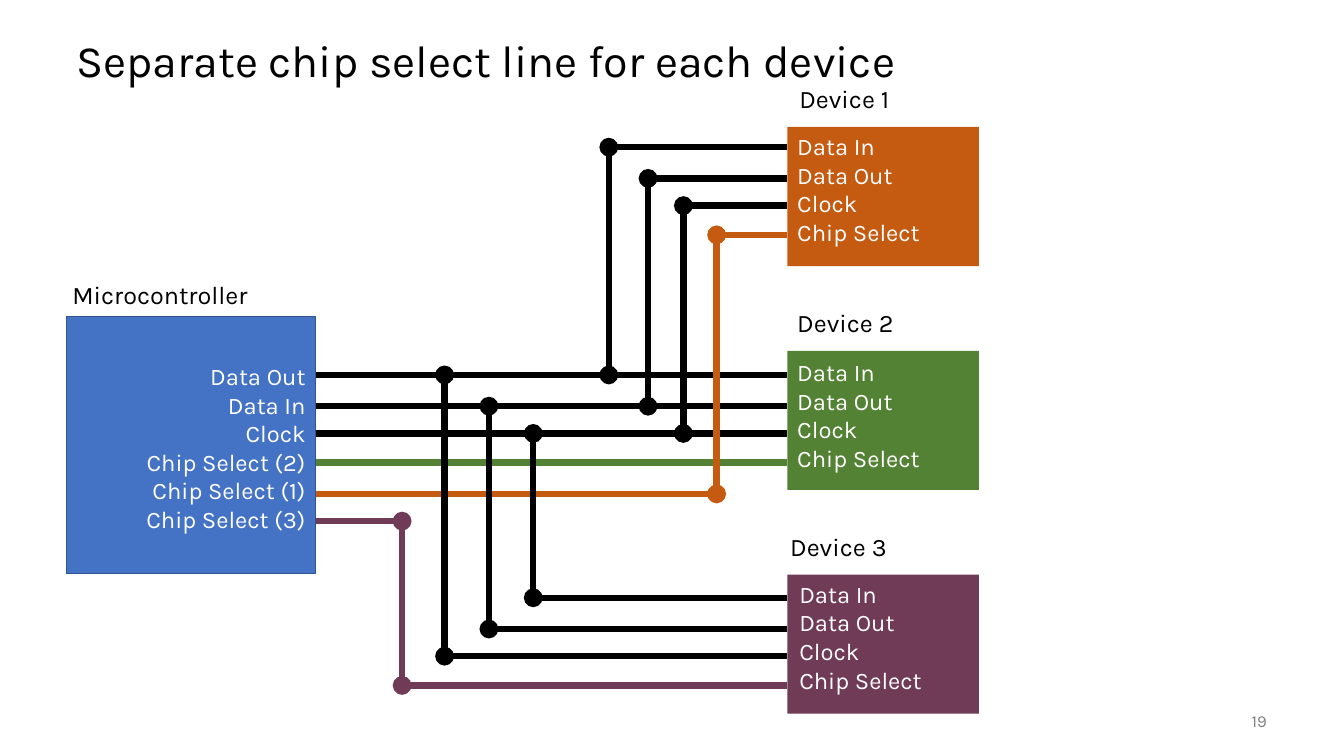
from dataclasses import dataclass

from lxml import etree
from pptx import Presentation
from pptx import util as u
from pptx.dml.color import RGBColor
from pptx.enum import shapes, text
from pptx.oxml import ns

# The page is a grid of 100 columns by 100 rows.
PAGE_WIDTH, PAGE_HEIGHT = u.Inches(13.33), u.Inches(7.5)
COLUMN, ROW = PAGE_WIDTH / 100, PAGE_HEIGHT / 100

FONT = "Karla"
BLACK = RGBColor(0x00, 0x00, 0x00)
WHITE = RGBColor(0xFF, 0xFF, 0xFF)
GRAY = RGBColor(0x80, 0x80, 0x80)
BLUE = RGBColor(0x44, 0x72, 0xC4)
NAVY = RGBColor(0x32, 0x54, 0x91)
ORANGE = RGBColor(0xC5, 0x5A, 0x11)
GREEN = RGBColor(0x54, 0x82, 0x35)
PURPLE = RGBColor(0x70, 0x3B, 0x56)

LEFT, RIGHT = text.PP_ALIGN.LEFT, text.PP_ALIGN.RIGHT
TOP, MIDDLE = text.MSO_ANCHOR.TOP, text.MSO_ANCHOR.MIDDLE


@dataclass
class Box:
    left: float
    top: float
    width: float
    height: float

    @property
    def right(self):
        return self.left + self.width

    def inner(self, across, down, width, height):
        """A box whose corner lies across and down from this one's."""
        return Box(self.left + across, self.top + down, width, height)

    def emu(self):
        return (round(self.left * COLUMN), round(self.top * ROW),
                round(self.width * COLUMN), round(self.height * ROW))


@dataclass
class Device:
    name: str
    color: RGBColor
    box: Box
    first_pin: float
    caption_shift: float = 0
    label_shift: tuple = (0, 0)

    def pin(self, index):
        return self.box.top + self.first_pin + PINS[index]


@dataclass
class Branch:
    """A vertical wire from a bus line to a pin of a device."""
    column: float
    line: int
    device: Device
    pin: int
    color: RGBColor = BLACK


PINS = (0, 4.13, 7.73, 11.6)
PIN_NAMES = ("Data In", "Data Out", "Clock", "Chip Select")
CONTROLLER_PINS = ("Data Out", "Data In", "Clock",
                   "Chip Select (2)", "Chip Select (1)", "Chip Select (3)")
CONTROLLER = Box(4.95, 41.87, 18.53, 34)
BUS_TOP = 49.6
BUS = [BUS_TOP + group + pin for group in (0, PINS[3]) for pin in PINS[:3]]

DEVICE_1 = Device("Device 1", ORANGE, Box(58.58, 16.8, 14.25, 18.4), 2.67, 0.15)
DEVICE_2 = Device("Device 2", GREEN, Box(58.58, 46.4, 14.25, 18.4), 3.2,
                  label_shift=(0, 0.27))
DEVICE_3 = Device("Device 3", PURPLE, Box(58.58, 76, 14.25, 18.4), 3.07, -0.53, (0.15, 0))
DEVICES = (DEVICE_1, DEVICE_2, DEVICE_3)

BRANCHES = (
    Branch(45.3, 0, DEVICE_1, 0),
    Branch(48.22, 1, DEVICE_1, 1),
    Branch(50.85, 2, DEVICE_1, 2),
    Branch(33.08, 0, DEVICE_3, 2),
    Branch(36.38, 1, DEVICE_3, 1),
    Branch(39.68, 2, DEVICE_3, 0),
    Branch(53.32, 4, DEVICE_1, 3, ORANGE),
    Branch(29.92, 5, DEVICE_3, 3, PURPLE),
)


def format_text(frame, lines, size, color, align=LEFT, anchor=TOP):
    frame.word_wrap = True
    frame.vertical_anchor = anchor
    frame.text = "\n".join(lines)
    for para in frame.paragraphs:
        para.alignment = align
        for span in para.runs:
            span.font.name = FONT
            span.font.size = u.Pt(size)
            span.font.color.rgb = color


def add_text(page, box, lines, size, color, align=LEFT, anchor=TOP):
    frame = page.shapes.add_textbox(*box.emu()).text_frame
    format_text(frame, lines, size, color, align, anchor)


def add_block(page, box, fill, line=None):
    block = page.shapes.add_shape(shapes.MSO_SHAPE.RECTANGLE, *box.emu())
    block.shadow.inherit = False
    block.fill.solid()
    block.fill.fore_color.rgb = fill
    if line is None:
        block.line.fill.background()
    else:
        block.line.color.rgb = line
        block.line.width = u.Pt(1)


def add_wire(page, start, end, color, dots=False):
    ends = [round(length * unit) for point in (start, end)
            for length, unit in zip(point, (COLUMN, ROW))]
    wire = page.shapes.add_connector(shapes.MSO_CONNECTOR.STRAIGHT, *ends)
    wire.line.color.rgb = color
    wire.line.width = u.Pt(4.5)
    if dots:
        for tag in ("a:headEnd", "a:tailEnd"):
            etree.SubElement(wire.line._get_or_add_ln(), ns.qn(tag), type="oval")
    etree.SubElement(wire._element.spPr, ns.qn("a:effectLst"))


def add_title(page, box):
    title = page.shapes.title
    title.left, title.top, title.width, title.height = box.emu()
    format_text(title.text_frame, ["Separate chip select line for each device"],
                32, BLACK, anchor=MIDDLE)
    title.text_frame.paragraphs[0].line_spacing = 0.9


def add_controller(page, box):
    add_block(page, box, BLUE, NAVY)
    add_text(page, box.inner(-0.3, -5.6, box.width, 5.33), ["Microcontroller"], 18, BLACK)
    add_text(page, box.inner(1.5, 5.33, 17.03, 24.27), CONTROLLER_PINS, 17, WHITE, RIGHT)


def add_device(page, device):
    box = device.box
    add_block(page, box, device.color)
    add_text(page, box.inner(device.caption_shift, -6.4, box.width, 5.33),
             [device.name], 18, BLACK)
    add_text(page, box.inner(*device.label_shift, box.width, 16.67), PIN_NAMES, 17, WHITE)


def add_wiring(page, start, end):
    """Bus lines from column start to column end, then the branches off them."""
    bus_ends = (end, end, end, end, BRANCHES[-2].column, BRANCHES[-1].column)
    bus_colors = (BLACK, BLACK, BLACK, GREEN, ORANGE, PURPLE)
    for row, stop, color in zip(BUS, bus_ends, bus_colors):
        add_wire(page, (start, row), (stop, row), color)
    for branch in BRANCHES:
        corner = (branch.column, branch.device.pin(branch.pin))
        add_wire(page, corner, (end, corner[1]), branch.color)
        add_wire(page, corner, (branch.column, BUS[branch.line]), branch.color, dots=True)


def main():
    deck = Presentation()
    deck.slide_width, deck.slide_height = PAGE_WIDTH, PAGE_HEIGHT
    page = deck.slides.add_slide(deck.slide_layouts.get_by_name("Title Only"))
    add_title(page, Box(4.95, 3.33, 90, 10))
    add_text(page, Box(87.5, 92.67, 7.5, 5.33), ["19"], 12, GRAY, RIGHT, MIDDLE)
    add_controller(page, CONTROLLER)
    for device in DEVICES:
        add_device(page, device)
    add_wiring(page, CONTROLLER.right, DEVICE_1.box.left)
    deck.save("out.pptx")


if __name__ == "__main__":
    main()
